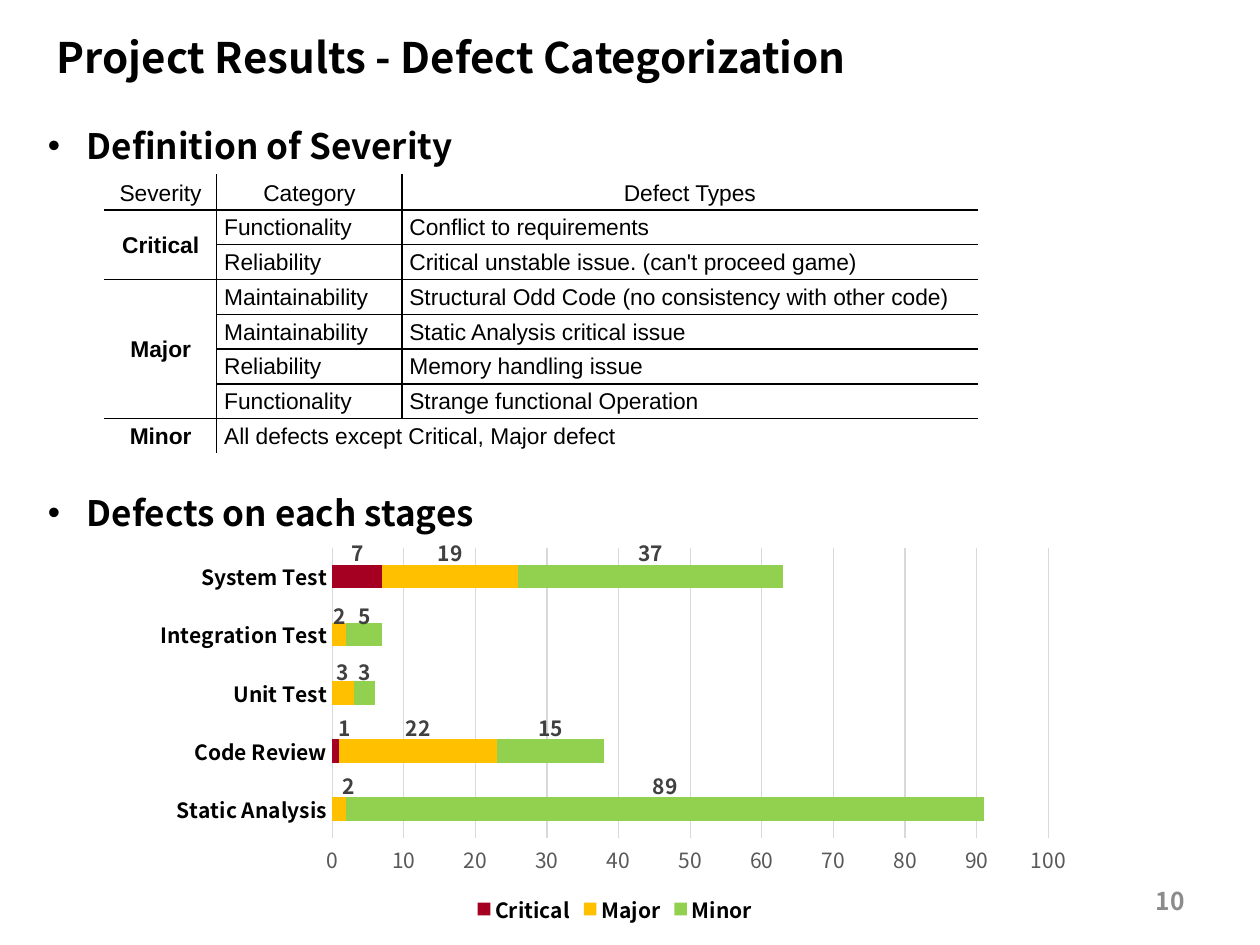
from lxml.etree import SubElement
from pptx import Presentation
from pptx.chart.data import CategoryChartData
from pptx.dml.color import RGBColor
from pptx.enum.chart import XL_CHART_TYPE, XL_LABEL_POSITION, XL_LEGEND_POSITION, XL_TICK_MARK
from pptx.enum.text import MSO_ANCHOR, MSO_AUTO_SIZE, PP_ALIGN
from pptx.oxml import parse_xml
from pptx.oxml.ns import nsdecls, qn
from pptx.util import Inches, Pt

FONT, TABLE_FONT = "Noto Sans CJK KR", "Arial"
COLORS = {"black": "000000", "white": "FFFFFF", "number": "8C8C8C", "label": "404040",
          "axis": "595959", "grid": "D9D9D9",
          "Critical": "A50021", "Major": "FFC000", "Minor": "92D050"}

TITLE = "Project Results - Defect Categorization"
HEADINGS = [("Definition of Severity", (0.28, 0.84, 9.29, 0.54)),
            ("Defects on each stages", (0.28, 3.75, 6.69, 0.54))]
PAGE_NUMBER = "10"

COLUMN_WIDTHS = [0.89, 1.47, 4.57]
TABLE_ROWS = [
    ("Severity", "Category", "Defect Types"),
    ("Critical", "Functionality", "Conflict to requirements"),
    ("", "Reliability", "Critical unstable issue. (can't proceed game)"),
    ("Major", "Maintainability", "Structural Odd Code (no consistency with other code)"),
    ("", "Maintainability", "Static Analysis critical issue"),
    ("", "Reliability", "Memory handling issue"),
    ("", "Functionality", "Strange functional Operation"),
    ("Minor", "All defects except Critical, Major defect", ""),
]
MERGES = [((1, 0), (2, 0)), ((3, 0), (6, 0)), ((7, 1), (7, 2))]

STAGES = ["Static Analysis", "Code Review", "Unit Test", "Integration Test", "System Test"]
DEFECTS = {"Critical": [None, 1, None, None, 7],
           "Major": [2, 22, 3, 2, 19],
           "Minor": [89, 15, 3, 5, 37]}
LABEL_RISE = [0.06, 0.06, 0.055, 0.05, 0.06]
LABEL_SHIFT = {("Critical", 1): 0.01, ("Major", 0): 0.01}
PLOT_AREA = {"x": 0.2, "y": 0.04, "w": 0.76, "h": 0.73}


def rgb(name):
    return RGBColor.from_string(COLORS[name])


def style_font(font, size=12, color="black", bold=False, name=FONT):
    font.name, font.size, font.bold = name, Pt(size), bold
    font.color.rgb = rgb(color)


def write(frame, text, align=PP_ALIGN.LEFT, anchor=MSO_ANCHOR.TOP, bullet=False, **style):
    frame.word_wrap = True
    frame.vertical_anchor = anchor
    paragraph = frame.paragraphs[0]
    paragraph.alignment = align
    paragraph.space_before = Pt(0)
    if bullet:
        paragraph.line_spacing = 1.3
        properties = paragraph._p.get_or_add_pPr()
        properties.set("marL", str(Inches(0.31)))
        properties.set("indent", str(-Inches(0.31)))
        SubElement(properties, qn("a:buFont"), typeface="Arial")
        SubElement(properties, qn("a:buChar"), char="•")
    span = paragraph.add_run()
    span.text = text
    style_font(span.font, **style)


def place(shape, left, top, width, height):
    shape.left, shape.top = Inches(left), Inches(top)
    shape.width, shape.height = Inches(width), Inches(height)
    shape.text_frame.auto_size = MSO_AUTO_SIZE.NONE


def set_borders(cell, outer_edges):
    """Draw all four sides in black, or white where a side is on the table's edge."""
    properties = cell._tc.get_or_add_tcPr()
    for index, (side, outer) in enumerate(zip("LRTB", outer_edges)):
        color = COLORS["white" if outer else "black"]
        properties.insert(index, parse_xml(
            f'<a:ln{side} {nsdecls("a")} w="12700"><a:solidFill><a:srgbClr val="{color}"/>'
            f'</a:solidFill></a:ln{side}>'))


def manual_layout(x, y, w=None, h=None):
    """Return a chart layout: an offset, or an inner plot area when a size is given."""
    values = {"x": x, "y": y}
    modes = ""
    if w is not None:
        values.update(w=w, h=h)
        modes = '<c:layoutTarget val="inner"/><c:xMode val="edge"/><c:yMode val="edge"/>'
    sizes = "".join(f'<c:{key} val="{value}"/>' for key, value in values.items())
    return parse_xml(f'<c:layout {nsdecls("c")}><c:manualLayout>{modes}{sizes}'
                     '</c:manualLayout></c:layout>')


def add_severity_table(page):
    row_count, column_count = len(TABLE_ROWS), len(COLUMN_WIDTHS)
    frame = page.shapes.add_table(row_count, column_count, Inches(0.83), Inches(1.39),
                                  Inches(sum(COLUMN_WIDTHS)), Inches(2.21))
    table = frame.table
    table.first_row = table.horz_banding = False
    for column, width in zip(table.columns, COLUMN_WIDTHS):
        column.width = Inches(width)
    for first, last in MERGES:
        table.cell(*first).merge(table.cell(*last))
    for r, row in enumerate(TABLE_ROWS):
        for c, text in enumerate(row):
            cell = table.cell(r, c)
            cell.fill.background()
            if cell.is_spanned:
                continue
            centred = r == 0 or c == 0
            cell.margin_left = Inches(0.01 if centred else 0.06)
            cell.margin_right = cell.margin_top = Inches(0.01)
            cell.margin_bottom = 0
            cell.vertical_anchor = MSO_ANCHOR.MIDDLE
            write(cell.text_frame, text, anchor=None, size=13, name=TABLE_FONT,
                  align=PP_ALIGN.CENTER if centred else PP_ALIGN.LEFT,
                  bold=c == 0 and r > 0)
            right, bottom = c + cell.span_width, r + cell.span_height
            if not cell.is_merge_origin:
                right, bottom = c + 1, r + 1
            set_borders(cell, (c == 0, right == column_count, r == 0, bottom == row_count))


def style_labels(series):
    labels = series.data_labels
    labels.show_value = True
    labels.position = XL_LABEL_POSITION.CENTER
    style_font(labels.font, color="label", bold=True)
    for index, value in enumerate(series.values):
        if value is None:
            continue
        label = series.points[index].data_label
        style_font(label.font, color="label", bold=True)
        label.position = XL_LABEL_POSITION.CENTER
        element = series._element.xpath(f'c:dLbls/c:dLbl[c:idx/@val="{index}"]')[0]
        shift = LABEL_SHIFT.get((series.name, index), 0)
        element.insert(1, manual_layout(shift, -LABEL_RISE[index]))


def add_defect_chart(page):
    data = CategoryChartData()
    data.categories = STAGES
    for name, values in DEFECTS.items():
        data.add_series(name, values)
    chart = page.shapes.add_chart(XL_CHART_TYPE.BAR_STACKED, Inches(1.14), Inches(4.22),
                                  Inches(7.48), Inches(3.16), data).chart
    style_font(chart.font)
    chart.has_title = False
    chart.has_legend = True
    chart.legend.position = XL_LEGEND_POSITION.BOTTOM
    chart.legend.include_in_layout = False
    style_font(chart.legend.font, bold=True)

    stages, counts = chart.category_axis, chart.value_axis
    for axis in (stages, counts):
        axis.major_tick_mark = axis.minor_tick_mark = XL_TICK_MARK.NONE
    style_font(stages.tick_labels.font, bold=True)
    style_font(counts.tick_labels.font, color="axis")
    counts.minimum_scale, counts.maximum_scale, counts.major_unit = 0, 100, 10
    counts.has_major_gridlines = True
    counts.format.line.fill.background()
    for line in (stages.format.line, counts.major_gridlines.format.line):
        line.color.rgb = rgb("grid")
        line.width = Pt(0.75)

    plot = chart.plots[0]
    plot.gap_width, plot.overlap, plot.vary_by_categories = 150, 100, False
    for series in plot.series:
        series.format.fill.solid()
        series.format.fill.fore_color.rgb = rgb(series.name)
        style_labels(series)
    area = chart._chartSpace.chart.plotArea
    for layout in area.findall(qn("c:layout")):
        area.remove(layout)
    area.insert(0, manual_layout(**PLOT_AREA))


def main():
    deck = Presentation()
    deck.slide_width, deck.slide_height = Inches(10), Inches(7.5)
    page = deck.slides.add_slide(deck.slide_layouts[3])
    title, *bodies = page.placeholders
    place(title, 0.35, 0.2, 7.64, 0.5)
    write(title.text_frame, TITLE, size=24, bold=True)
    for body, (text, position) in zip(bodies, HEADINGS):
        place(body, *position)
        write(body.text_frame, text, bullet=True, size=20, bold=True)
    add_severity_table(page)
    add_defect_chart(page)
    number = page.shapes.add_textbox(0, 0, 0, 0)
    place(number, 7.17, 6.95, 2.33, 0.4)
    write(number.text_frame, PAGE_NUMBER, align=PP_ALIGN.RIGHT, anchor=MSO_ANCHOR.MIDDLE,
          size=14, color="number", bold=True)
    deck.save("out.pptx")


if __name__ == "__main__":
    main()
